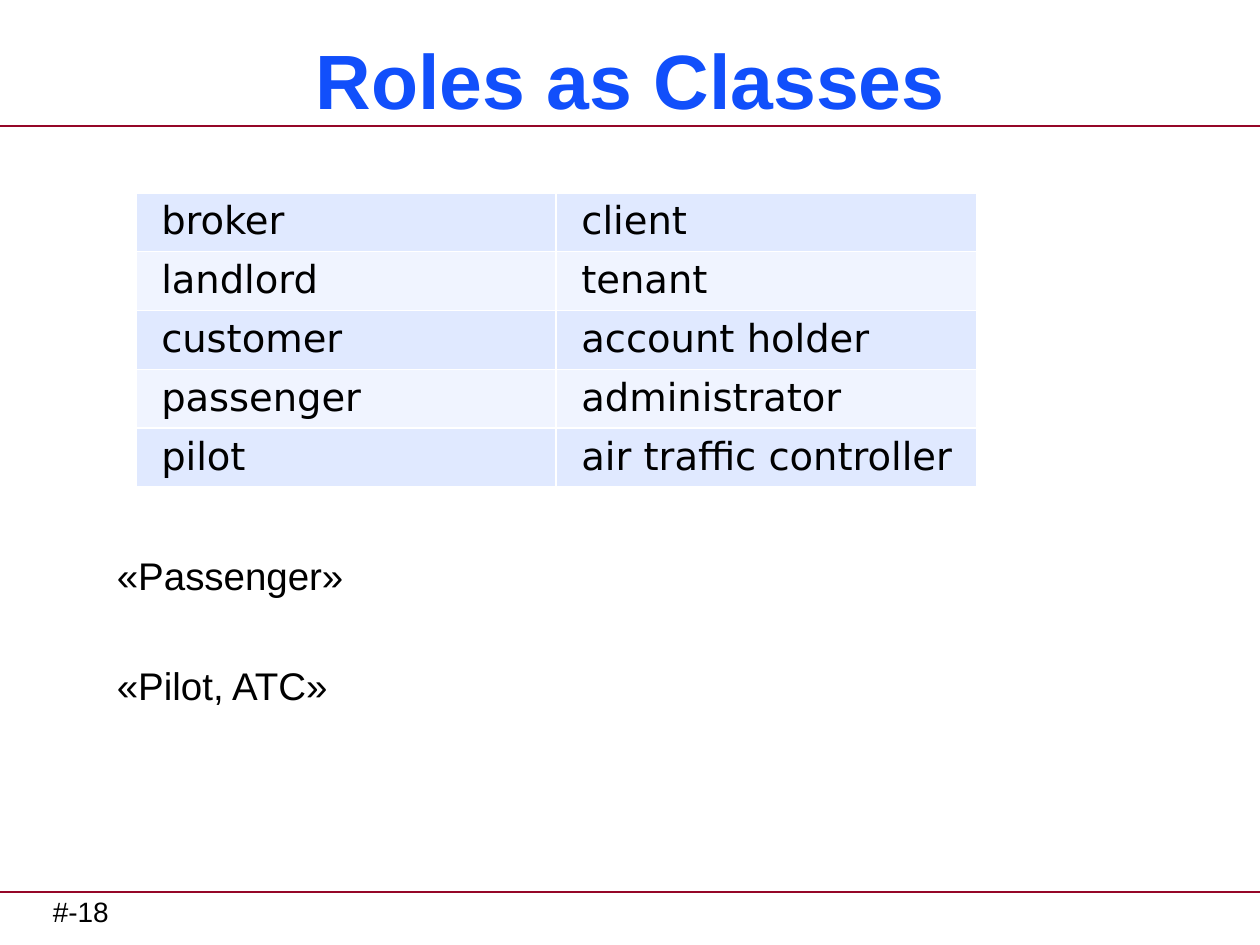
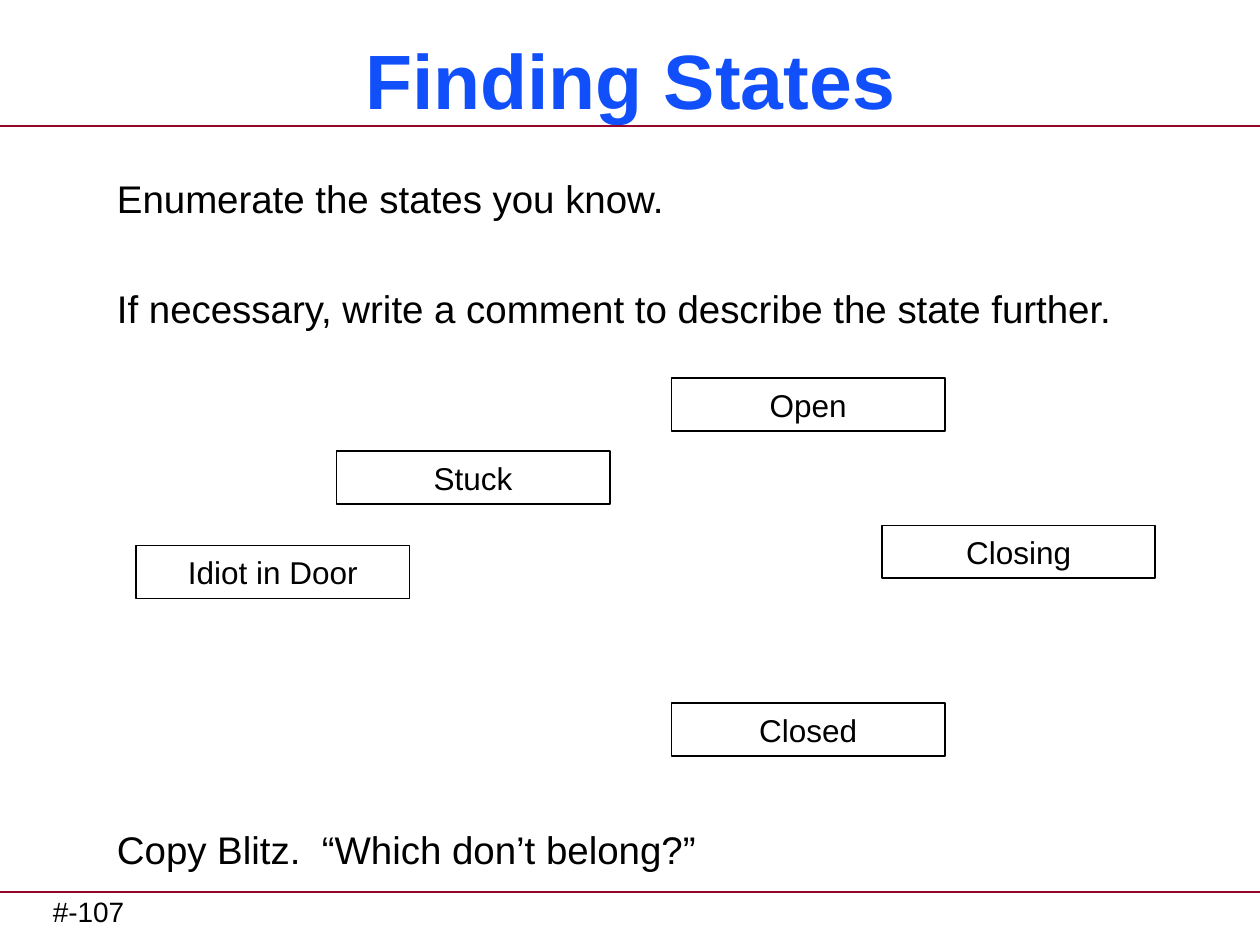
from lxml import etree
from pptx import Presentation
from pptx.dml.color import RGBColor
from pptx.enum.shapes import MSO_CONNECTOR, MSO_SHAPE
from pptx.enum.text import MSO_ANCHOR as ANCHOR, MSO_AUTO_SIZE as AUTO, PP_ALIGN as ALIGN
from pptx.oxml.ns import qn
from pptx.util import Inches, Pt

COLORS = {
    "title": "114FFB",
    "rule": "950728",
    "text": "000000",
    "band_dark": "E0E9FF",
    "band_light": "F0F4FF",
    "grid": "FFFFFF",
}
BODY_FONT = "Arial"
TABLE_FONT = "DejaVu Sans"
BODY_SIZE = 22
TITLE_ONLY = 5

ROLES = [
    ("broker", "client"),
    ("landlord", "tenant"),
    ("customer", "account holder"),
    ("passenger", "administrator"),
    ("pilot", "air traffic controller"),
]
STATES = [
    ("Open", 5.33, 3),
    ("Closing", 7, 4.17),
    ("Closed", 5.33, 5.58),
    ("Stuck", 2.67, 3.58),
    ("Idiot in Door", 1.08, 4.33),
]


def rgb(name):
    return RGBColor.from_string(COLORS[name])


def add_run(paragraph, text, size, color="text", font=BODY_FONT, bold=False):
    run = paragraph.add_run()
    run.text = text
    run.font.size = Pt(size)
    run.font.name = font
    run.font.bold = bold
    run.font.color.rgb = rgb(color)


def add_rule(slide, y):
    rule = slide.shapes.add_connector(
        MSO_CONNECTOR.STRAIGHT, Inches(0), Inches(y), Inches(10), Inches(y))
    rule.line.color.rgb = rgb("rule")
    rule.line.width = Pt(1.5)
    etree.SubElement(rule._element.spPr, qn("a:effectLst"))


def add_page_label(slide, label):
    box = slide.shapes.add_textbox(Inches(0.42), Inches(7.05), Inches(4.83), Inches(0.37))
    frame = box.text_frame
    frame.word_wrap = True
    frame.margin_left = frame.margin_right = 0
    add_run(frame.paragraphs[0], label, 16)


def add_title(slide, text):
    title = slide.shapes.title
    title.left, title.top = Inches(0.17), Inches(0.25)
    title.width, title.height = Inches(9.67), Inches(0.75)
    frame = title.text_frame
    frame.auto_size = AUTO.NONE
    frame.vertical_anchor = ANCHOR.MIDDLE
    frame.paragraphs[0].alignment = ALIGN.CENTER
    add_run(frame.paragraphs[0], text, 44, "title", bold=True)


def add_titled_slide(deck, title, label):
    slide = deck.slides.add_slide(deck.slide_layouts[TITLE_ONLY])
    for y in (1, 7.08):
        add_rule(slide, y)
    add_page_label(slide, label)
    add_title(slide, title)
    return slide


def add_body(slide, top, lines):
    """Each line is (text, space before in points)."""
    box = slide.shapes.add_textbox(
        Inches(0.83), Inches(top), Inches(8.83), Inches(6.91 - top))
    frame = box.text_frame
    frame.word_wrap = True
    for index, (text, gap) in enumerate(lines):
        paragraph = frame.add_paragraph() if index else frame.paragraphs[0]
        paragraph.space_before = Pt(gap)
        add_run(paragraph, text, BODY_SIZE)


def set_cell_borders(cell):
    properties = cell._tc.get_or_add_tcPr()
    for side in ("lnL", "lnR", "lnT", "lnB"):
        border = etree.SubElement(properties, qn(f"a:{side}"), w=str(Pt(1)))
        fill = etree.SubElement(border, qn("a:solidFill"))
        etree.SubElement(fill, qn("a:srgbClr"), val=COLORS["grid"])


def add_role_table(slide):
    table = slide.shapes.add_table(
        len(ROLES), 2, Inches(1.08), Inches(1.53), Inches(6.67), Inches(2.28)).table
    table.first_row = table.horz_banding = False
    for row, roles in enumerate(ROLES):
        for column, role in enumerate(roles):
            cell = table.cell(row, column)
            set_cell_borders(cell)
            cell.fill.solid()
            cell.fill.fore_color.rgb = rgb("band_light" if row % 2 else "band_dark")
            cell.margin_left = Inches(0.2)
            add_run(cell.text_frame.paragraphs[0], role, BODY_SIZE, font=TABLE_FONT)


def add_state(slide, name, left, top):
    state = slide.shapes.add_shape(
        MSO_SHAPE.RECTANGLE, Inches(left), Inches(top), Inches(2.17), Inches(0.42))
    state.shadow.inherit = False
    state.fill.background()
    state.line.color.rgb = rgb("text")
    state.line.width = Pt(1)
    frame = state.text_frame
    frame.vertical_anchor = ANCHOR.MIDDLE
    frame.paragraphs[0].alignment = ALIGN.CENTER
    add_run(frame.paragraphs[0], name, 18)


def main():
    deck = Presentation()
    deck.slide_width, deck.slide_height = Inches(10), Inches(7.5)

    # Roles
    roles = add_titled_slide(deck, "Roles as Classes", "#-18")
    add_body(roles, 4.33, [("«Passenger»", 0), ("«Pilot, ATC»", 36.4)])
    add_role_table(roles)

    # States
    states = add_titled_slide(deck, "Finding States", "#-107")
    add_body(states, 1.34, [
        ("Enumerate the states you know.", 0),
        ("If necessary, write a comment to describe the state further.", 36.4),
        ("Copy Blitz.  “Which don’t belong?”", 282.7),
    ])
    for name, left, top in STATES:
        add_state(states, name, left, top)

    deck.save("out.pptx")


if __name__ == "__main__":
    main()
